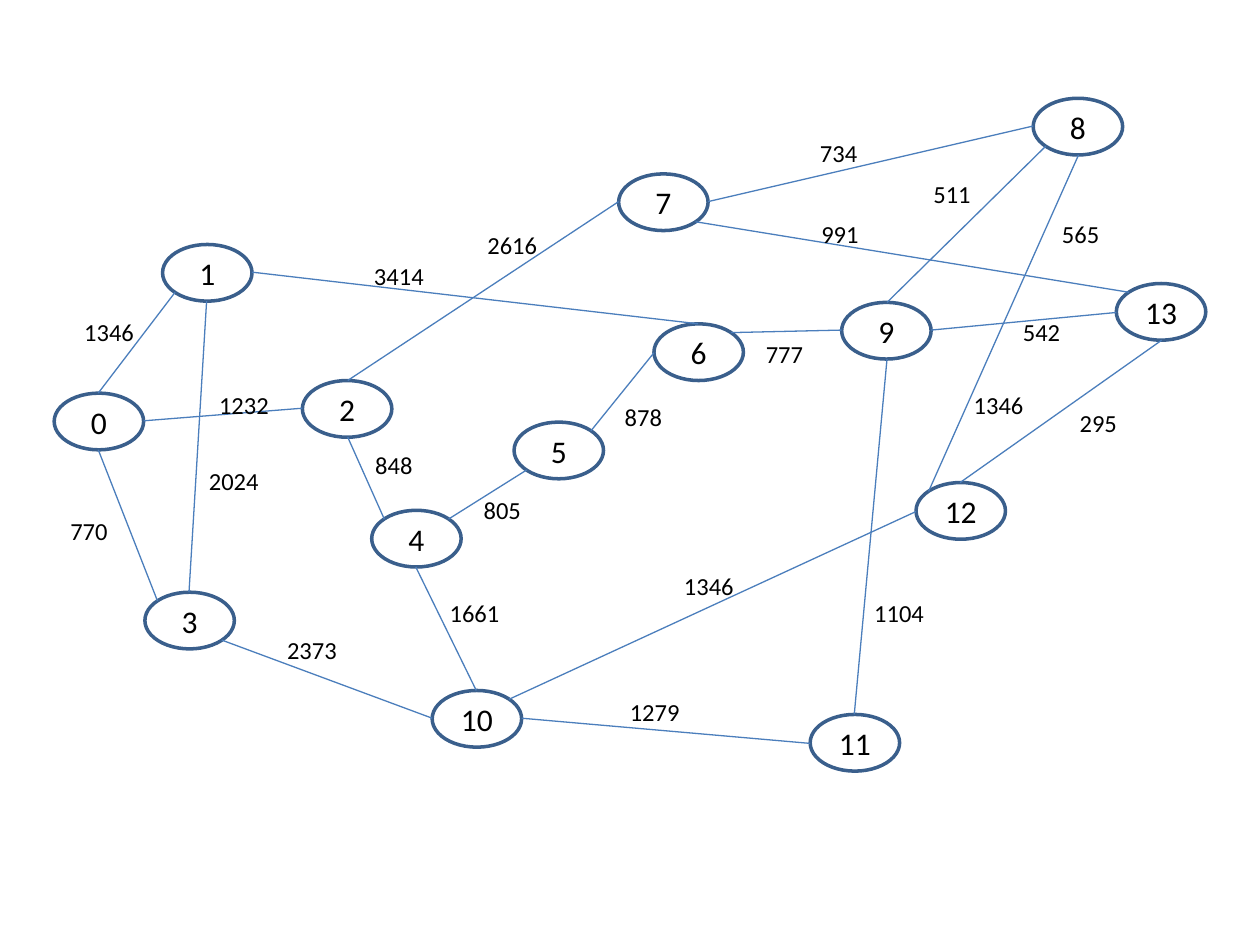
"""Draw a weighted graph of fourteen nodes."""
from dataclasses import dataclass
from math import sqrt

from lxml import etree
from pptx import Presentation
from pptx.dml.color import RGBColor
from pptx.enum.shapes import MSO_CONNECTOR, MSO_SHAPE
from pptx.enum.text import MSO_ANCHOR, MSO_AUTO_SIZE, PP_ALIGN
from pptx.oxml.ns import qn
from pptx.shapes.shapetree import GroupShapes
from pptx.text.text import TextFrame
from pptx.util import Emu, Pt

OVAL = MSO_SHAPE.OVAL
LINE = MSO_CONNECTOR.STRAIGHT
MIDDLE = MSO_ANCHOR.MIDDLE
CENTER = PP_ALIGN.CENTER
GROW = MSO_AUTO_SIZE.SHAPE_TO_FIT_TEXT

SCALE = 9144
WIDE, HIGH = 1000, 750
NODE_W, NODE_H = 71, 45
LABEL_H = 34
DIAG = sqrt(0.5)


@dataclass(frozen=True)
class Theme:
    font: str = "Calibri"
    ink: RGBColor = RGBColor(0, 0, 0)
    fill: RGBColor = RGBColor(255, 255, 255)
    rim: RGBColor = RGBColor(0x3A, 0x5F, 0x8C)
    edge: RGBColor = RGBColor(0x4B, 0x7E, 0xBC)
    node_pt: int = 18
    label_pt: int = 14
    rim_pt: float = 2
    edge_pt: float = 0.75


@dataclass(frozen=True)
class Node:
    name: str
    x: int
    y: int


@dataclass(frozen=True)
class Edge:
    start: str
    side: str
    end: str
    port: str


@dataclass(frozen=True)
class Label:
    text: str
    x: int
    y: int


THEME = Theme()

PORTS = {
    "N": (0, -1), "S": (0, 1), "W": (-1, 0), "E": (1, 0),
    "NW": (-DIAG, -DIAG), "NE": (DIAG, -DIAG),
    "SW": (-DIAG, DIAG), "SE": (DIAG, DIAG),
}

NODES = [
    Node("0", 43, 312), Node("1", 129, 194), Node("2", 240, 302),
    Node("3", 115, 470), Node("4", 295, 405), Node("5", 408, 335),
    Node("6", 519, 257), Node("7", 491, 138), Node("8", 820, 78),
    Node("9", 668, 240), Node("10", 343, 548), Node("11", 643, 567),
    Node("12", 727, 383), Node("13", 886, 225),
]

EDGES = [
    Edge("0", "N", "1", "SW"), Edge("0", "S", "3", "NW"),
    Edge("0", "E", "2", "W"), Edge("1", "E", "6", "N"),
    Edge("2", "S", "4", "NW"), Edge("4", "S", "10", "N"),
    Edge("3", "SE", "10", "W"), Edge("10", "E", "11", "W"),
    Edge("11", "N", "9", "S"), Edge("4", "NE", "5", "SW"),
    Edge("5", "NE", "6", "W"), Edge("6", "NE", "9", "W"),
    Edge("10", "NE", "12", "W"), Edge("12", "N", "13", "S"),
    Edge("7", "SE", "13", "NW"), Edge("7", "E", "8", "W"),
    Edge("2", "N", "7", "W"), Edge("8", "S", "12", "NW"),
    Edge("9", "E", "13", "W"), Edge("3", "N", "1", "S"),
    Edge("9", "N", "8", "SW"),
]

LABELS = [
    Label("1346", 57, 247), Label("770", 46, 405), Label("1232", 164, 305),
    Label("3414", 287, 202), Label("2373", 218, 499), Label("848", 288, 352),
    Label("805", 374, 388), Label("878", 486, 314), Label("734", 641, 105),
    Label("991", 642, 169), Label("565", 833, 169), Label("1279", 490, 548),
    Label("1346", 533, 448), Label("295", 847, 319), Label("542", 802, 247),
    Label("1104", 684, 470), Label("2616", 377, 178), Label("2024", 156, 365),
    Label("1661", 347, 470), Label("511", 731, 137), Label("1346", 763, 305),
    Label("777", 598, 264),
]


def px(*sizes: float) -> list[Emu]:
    return [Emu(round(size) * SCALE) for size in sizes]


def write(frame: TextFrame, text: str, size: int) -> None:
    run = frame.paragraphs[0].add_run()
    run.text = text
    run.font.name = THEME.font
    run.font.size = Pt(size)
    run.font.color.rgb = THEME.ink


def draw_node(shapes: GroupShapes, node: Node) -> None:
    oval = shapes.add_shape(OVAL, *px(node.x, node.y, NODE_W, NODE_H))
    oval.shadow.inherit = False
    oval.fill.solid()
    oval.fill.fore_color.rgb = THEME.fill
    oval.line.color.rgb = THEME.rim
    oval.line.width = Pt(THEME.rim_pt)
    frame = oval.text_frame
    frame.vertical_anchor = MIDDLE
    frame.paragraphs[0].alignment = CENTER
    write(frame, node.name, THEME.node_pt)


def port(node: Node, side: str) -> list[Emu]:
    dx, dy = PORTS[side]
    return px(node.x + NODE_W * (1 + dx) / 2, node.y + NODE_H * (1 + dy) / 2)


def draw_edge(shapes: GroupShapes, edge: Edge, nodes: dict[str, Node]) -> None:
    start = port(nodes[edge.start], edge.side)
    end = port(nodes[edge.end], edge.port)
    line = shapes.add_connector(LINE, *start, *end)
    line.line.color.rgb = THEME.edge
    line.line.width = Pt(THEME.edge_pt)
    etree.SubElement(line._element.spPr, qn("a:effectLst"))


def draw_label(shapes: GroupShapes, label: Label) -> None:
    width = 20 + 10 * len(label.text)
    box = shapes.add_textbox(*px(label.x, label.y, width, LABEL_H))
    box.text_frame.word_wrap = False
    box.text_frame.auto_size = GROW
    write(box.text_frame, label.text, THEME.label_pt)


def main() -> None:
    deck = Presentation()
    deck.slide_width, deck.slide_height = px(WIDE, HIGH)
    slide = deck.slides.add_slide(deck.slide_layouts[6])
    graph = slide.shapes.add_group_shape().shapes
    nodes = {node.name: node for node in NODES}
    for node in NODES:
        draw_node(graph, node)
    for edge in EDGES:
        draw_edge(graph, edge, nodes)
    for label in LABELS:
        draw_label(graph, label)
    deck.save("out.pptx")


if __name__ == "__main__":
    main()
